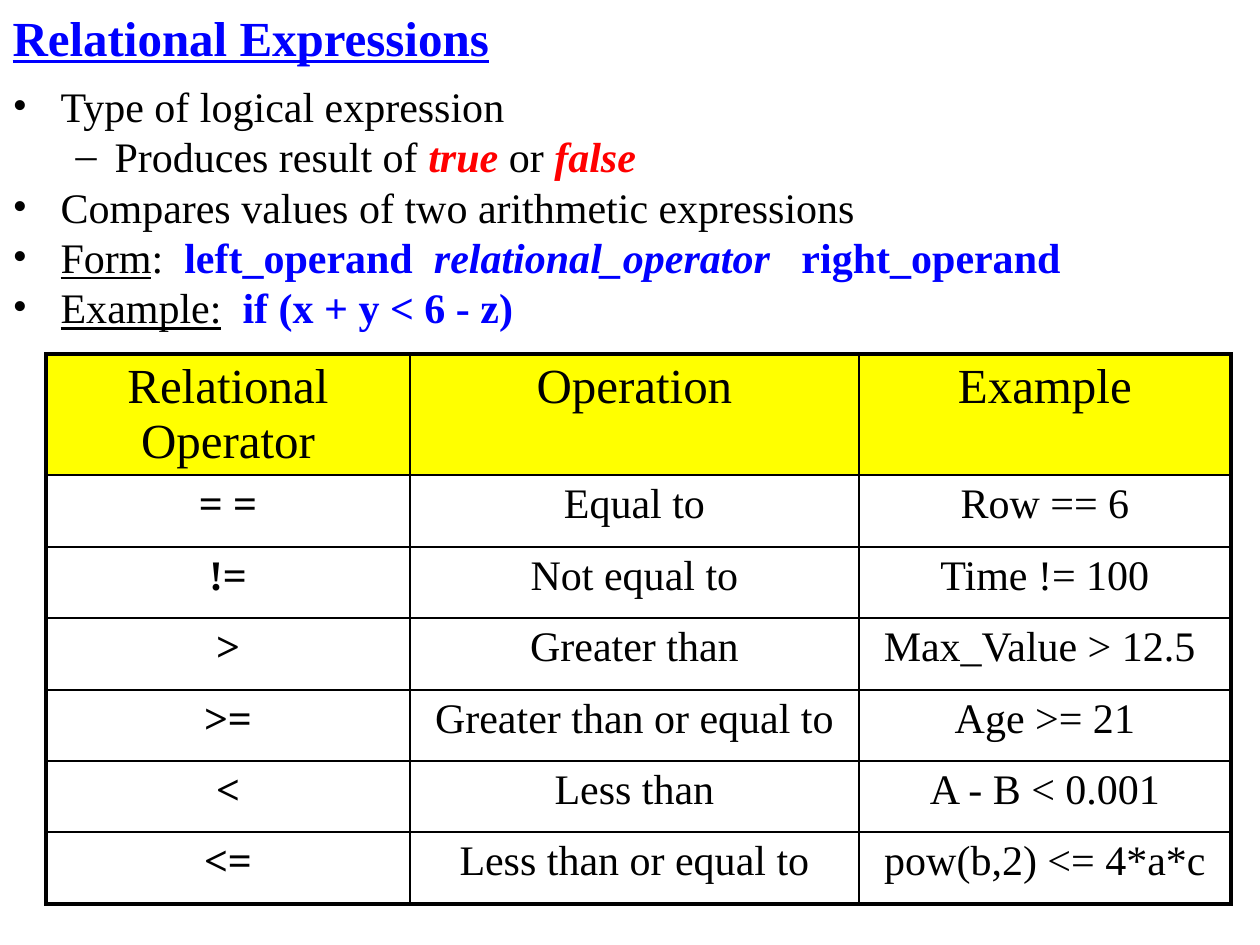
from lxml.etree import SubElement
from pptx import Presentation
from pptx.dml.color import RGBColor
from pptx.enum.text import MSO_ANCHOR, MSO_AUTO_SIZE, PP_ALIGN
from pptx.oxml.ns import qn
from pptx.util import Pt

PX = 914400 // 126
FONT = "Times New Roman"
COLORS = {"text": "000000", "blue": "0000FF", "red": "FF0000", "header": "FFFF00"}

# Run styles: colour, bold, italic, underline
STYLES = {
    "plain": ("text", False, False, False),
    "label": ("text", False, False, True),
    "value": ("red", True, True, False),
    "code": ("blue", True, False, False),
    "operator": ("blue", True, True, False),
    "title": ("blue", True, False, True),
    "symbol": ("text", True, False, False),
}

BULLETS = [
    (0, [("Type of logical expression", "plain")]),
    (1, [("Produces result of ", "plain"), ("true", "value"),
         (" or ", "plain"), ("false", "value")]),
    (0, [("Compares values of two arithmetic expressions", "plain")]),
    (0, [("Form", "label"), (":  ", "plain"), ("left_operand  ", "code"),
         ("relational_operator   ", "operator"), ("right_operand", "code")]),
    (0, [("Example:", "label"), ("  if (x + y < 6 - z)", "code")]),
]
# Per level: bullet character, left margin, hanging indent
LEVELS = [("•", 48, 48), ("–", 102, 39)]

ROWS = [
    ("Relational Operator", "Operation", "Example"),
    ("= =", "Equal to", "Row == 6"),
    ("!=", "Not equal to", "Time != 100"),
    (">", "Greater than", "Max_Value > 12.5 "),
    (">=", "Greater than or equal to", "Age >= 21"),
    ("<", "Less than", "A - B < 0.001"),
    ("<=", "Less than or equal to", "pow(b,2) <= 4*a*c"),
]
COL_W = [364, 449, 372]
ROW_H = [72, 72, 71, 72, 71, 71, 72]


def px(n):
    return n * PX


def rgb(name):
    return RGBColor.from_string(COLORS[name])


def place(sp, box):
    sp.left, sp.top, sp.width, sp.height = map(px, box)


def style_run(r, style, size):
    color, bold, italic, underline = STYLES[style]
    f = r.font
    f.name, f.size = FONT, Pt(size)
    f.bold, f.italic, f.underline = bold, italic, underline
    f.color.rgb = rgb(color)


def add_title(s, box):
    sp = s.shapes.title
    place(sp, box)
    tf = sp.text_frame
    tf.text = "Relational Expressions"
    tf.auto_size = MSO_AUTO_SIZE.NONE
    tf.vertical_anchor = MSO_ANCHOR.MIDDLE
    p = tf.paragraphs[0]
    p.alignment = PP_ALIGN.LEFT
    style_run(p.runs[0], "title", 28)


def add_bullets(s, box):
    sp = s.placeholders[1]
    place(sp, box)
    tf = sp.text_frame
    tf.auto_size = MSO_AUTO_SIZE.NONE
    for i, (level, parts) in enumerate(BULLETS):
        p = tf.add_paragraph() if i else tf.paragraphs[0]
        p.level = level
        p.line_spacing = 0.8
        p.space_before = Pt(5.7 if i else 0)
        char, margin, hang = LEVELS[level]
        pPr = p._p.get_or_add_pPr()
        pPr.set("marL", str(px(margin)))
        pPr.set("indent", str(px(-hang)))
        SubElement(pPr, qn("a:buFont"), typeface=FONT)
        SubElement(pPr, qn("a:buChar"), char=char)
        for text, style in parts:
            r = p.add_run()
            r.text = text
            style_run(r, style, 24)


def set_borders(cell, outer):
    """Draw all four sides, thick where the side is in outer."""
    tcPr = cell._tc.get_or_add_tcPr()
    for side in "LRTB":
        width = Pt(2.25 if side in outer else 1)
        ln = SubElement(tcPr, qn(f"a:ln{side}"), w=str(width))
        fill = SubElement(ln, qn("a:solidFill"))
        SubElement(fill, qn("a:srgbClr"), val=COLORS["text"])


def add_operator_table(s, left, top):
    n_rows, n_cols = len(ROWS), len(COL_W)
    table = s.shapes.add_table(n_rows, n_cols, px(left), px(top),
                               px(sum(COL_W)), px(sum(ROW_H))).table
    table.first_row = table.horz_banding = False
    for col, width in zip(table.columns, COL_W):
        col.width = px(width)
    for row, height in zip(table.rows, ROW_H):
        row.height = px(height)

    for i, texts in enumerate(ROWS):
        for j, text in enumerate(texts):
            cell = table.cell(i, j)
            edges = {"L": j == 0, "R": j == n_cols - 1,
                     "T": i == 0, "B": i == n_rows - 1}
            set_borders(cell, [side for side, on in edges.items() if on])
            if i == 0:
                cell.fill.solid()
                cell.fill.fore_color.rgb = rgb("header")
            else:
                cell.fill.background()
            cell.text_frame.text = text
            p = cell.text_frame.paragraphs[0]
            p.alignment = PP_ALIGN.CENTER
            style_run(p.runs[0], "symbol" if i and j == 0 else "plain",
                      24 if i else 28)


def main():
    prs = Presentation()
    prs.slide_width, prs.slide_height = px(1260), px(945)
    s = prs.slides.add_slide(prs.slide_layouts[1])
    add_title(s, (0, 0, 1071, 73))
    add_bullets(s, (0, 84, 1260, 431))
    add_operator_table(s, 46, 354)
    prs.save("out.pptx")


if __name__ == "__main__":
    main()
